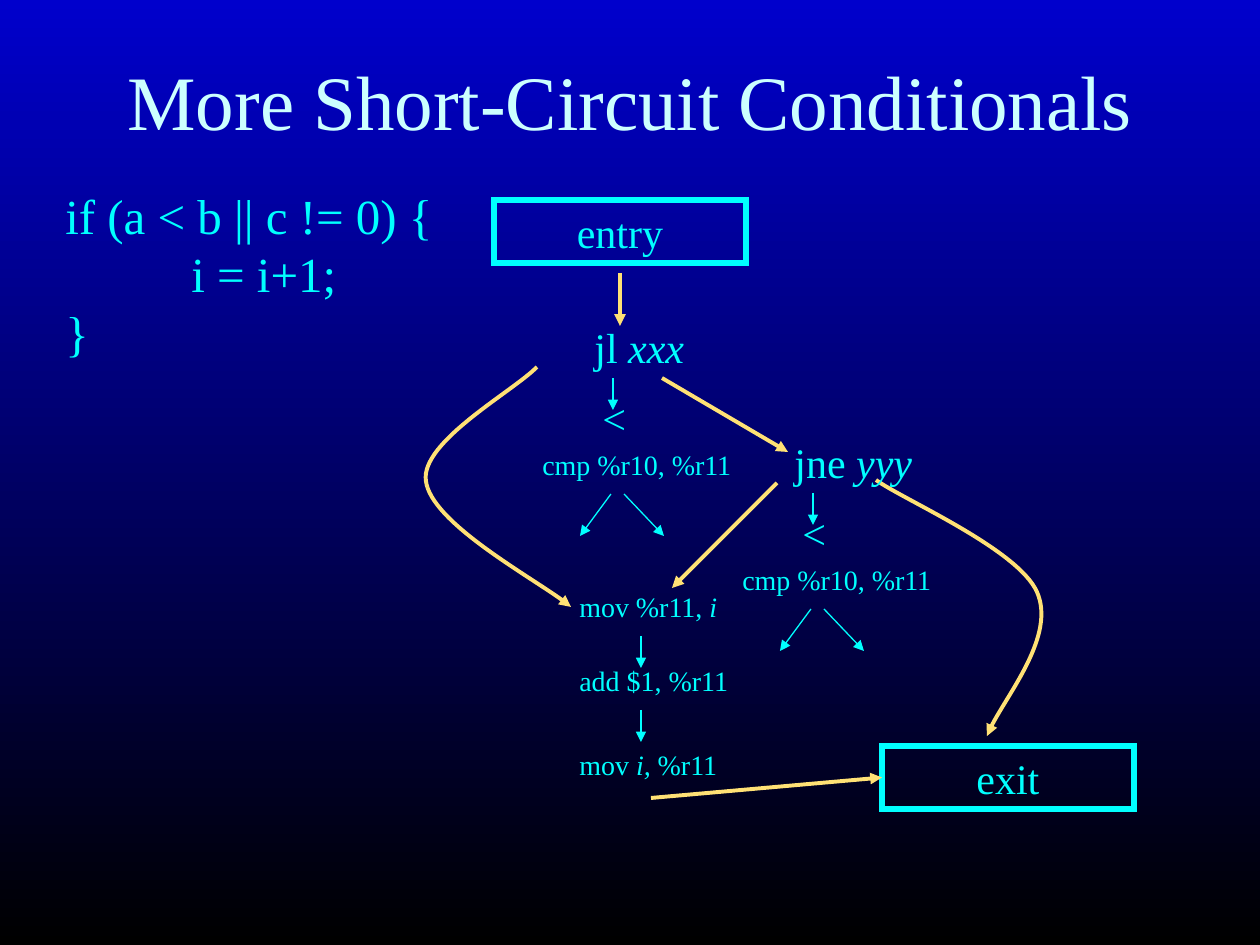
from dataclasses import dataclass

import pptx
import pptx.dml.color
import pptx.enum.shapes
import pptx.enum.text
import pptx.oxml
import pptx.oxml.ns
import pptx.util

PX = 914400 / 126
FONT = "Times New Roman"
COLORS = {
    "title": "CCFFFF",
    "cyan": "00FFFF",
    "gold": "FFE175",
    "top": "0000CC",
    "bottom": "000000",
}
ALIGN = pptx.enum.text.PP_ALIGN
ANCHOR = pptx.enum.text.MSO_ANCHOR


@dataclass(frozen=True)
class Label:
    """Text in which *stars* enclose italics."""
    left: int
    top: int
    width: int
    height: int
    text: str
    size: int = 24


@dataclass(frozen=True)
class Arrow:
    start: tuple[int, int]
    end: tuple[int, int]
    color: str = "cyan"
    weight: float = 0.75


@dataclass(frozen=True)
class Curve:
    """A start point followed by three control points per Bézier segment."""
    points: tuple[tuple[int, int], ...]


CODE = Label(53, 179, 405, 189, "if (a < b || c != 0) {\ni = i+1;\n}", 28)
ENTRY = Label(494, 200, 252, 63, "entry")
EXIT = Label(882, 746, 252, 63, "exit")
EXIT_ARROW = Arrow((651, 798), (882, 777), "gold", 2.25)
FLOW_ARROWS = [
    Arrow((620, 273), (620, 326), "gold", 2.25),
    Arrow((777, 483), (672, 588), "gold", 2.25),
    Arrow((662, 378), (788, 452), "gold", 2.25),
]
CURVES = [
    Curve(((876, 480), (902, 499), (1018, 549), (1037, 592),
           (1056, 635), (998, 706), (987, 736))),
    Curve(((537, 367), (514, 391), (420, 442), (426, 481),
           (431, 522), (547, 586), (571, 607))),
]
BRANCH_ARROWS = [
    Arrow((613, 378), (613, 410)),
    Arrow((611, 494), (580, 536)),
    Arrow((624, 494), (664, 536)),
]
INSTRUCTIONS = [
    Label(567, 583, 180, 47, "mov %r11, *i*", 16),
    Label(567, 657, 180, 47, "add $1, %r11", 16),
    Label(567, 741, 180, 47, "mov *i,* %r11", 16),
]
STEP_ARROWS = [Arrow((641, y), (641, y + 32)) for y in (636, 710)]


def px(value: float) -> pptx.util.Emu:
    return pptx.util.Emu(round(value * PX))


def rgb(name: str) -> pptx.dml.color.RGBColor:
    return pptx.dml.color.RGBColor.from_string(COLORS[name])


def write(shape, text: str, *, size: int, color: str = "cyan", align=ALIGN.LEFT,
          anchor=ANCHOR.TOP, indents: tuple[int, ...] = ()) -> None:
    frame = shape.text_frame
    frame.word_wrap = True
    frame.vertical_anchor = anchor
    for index, line in enumerate(text.split("\n")):
        paragraph = frame.paragraphs[0] if index == 0 else frame.add_paragraph()
        paragraph.alignment = align
        if index < len(indents):
            paragraph._p.get_or_add_pPr().set("marL", str(px(indents[index])))
        for part, words in enumerate(line.split("*")):
            if not words:
                continue
            run = paragraph.add_run()
            run.text = words
            run.font.name = FONT
            run.font.size = pptx.util.Pt(size)
            run.font.color.rgb = rgb(color)
            if part % 2:
                run.font.italic = True


def add_label(slide, label: Label, **text_format) -> None:
    box = slide.shapes.add_textbox(px(label.left), px(label.top),
                                   px(label.width), px(label.height))
    write(box, label.text, size=label.size, **text_format)


def style_line(shape, color: str, weight: float, ending: str) -> None:
    """Set colour and weight, then add the XML element for the join or arrowhead."""
    shape.line.color.rgb = rgb(color)
    shape.line.width = pptx.util.Pt(weight)
    shape.line._get_or_add_ln().append(pptx.oxml.parse_xml(
        f'<a:{ending} {pptx.oxml.ns.nsdecls("a")}/>'))


def add_box(slide, label: Label):
    shape = slide.shapes.add_shape(
        pptx.enum.shapes.MSO_SHAPE.RECTANGLE,
        px(label.left), px(label.top), px(label.width), px(label.height))
    shape.shadow.inherit = False
    shape.fill.background()
    style_line(shape, "cyan", 3, 'miter lim="800000"')
    write(shape, label.text, size=label.size, align=ALIGN.CENTER, anchor=ANCHOR.MIDDLE)
    return shape


def style_arrow(shape, color: str, weight: float) -> None:
    style_line(shape, color, weight, 'tailEnd type="triangle"')


def add_arrow(slide, arrow: Arrow):
    connector = slide.shapes.add_connector(
        pptx.enum.shapes.MSO_CONNECTOR.STRAIGHT,
        *map(px, arrow.start), *map(px, arrow.end))
    style_arrow(connector, arrow.color, arrow.weight)
    connector._element.spPr.append(
        pptx.oxml.parse_xml(f'<a:effectLst {pptx.oxml.ns.nsdecls("a")}/>'))
    return connector


def add_curve(slide, curve: Curve) -> None:
    """Draw the control polygon, then turn each three sides into one Bézier."""
    builder = slide.shapes.build_freeform(*curve.points[0], scale=PX)
    builder.add_line_segments(curve.points[1:], close=False)
    shape = builder.convert_to_shape()
    shape.shadow.inherit = False
    shape.fill.background()
    style_arrow(shape, "gold", 2.25)
    sides = list(shape._element.iter(pptx.oxml.ns.qn("a:lnTo")))
    for first in range(0, len(sides), 3):
        bezier = pptx.oxml.parse_xml(
            f'<a:cubicBezTo {pptx.oxml.ns.nsdecls("a")}/>')
        sides[first].addprevious(bezier)
        for side in sides[first:first + 3]:
            bezier.append(side[0])
            side.getparent().remove(side)


def add_branch(slide, jump: str, dx: int, dy: int) -> None:
    """Draw a conditional jump above its comparison, moved by dx and dy."""
    for label in (Label(582, 315, 160, 63, jump),
                  Label(590, 386, 55, 63, "<"),
                  Label(530, 441, 225, 47, "cmp %r10, %r11", 16)):
        add_label(slide, Label(label.left + dx, label.top + dy, label.width,
                               label.height, label.text, label.size))
    for arrow in BRANCH_ARROWS:
        add_arrow(slide, Arrow((arrow.start[0] + dx, arrow.start[1] + dy),
                               (arrow.end[0] + dx, arrow.end[1] + dy)))


def main() -> None:
    presentation = pptx.Presentation()
    presentation.slide_width, presentation.slide_height = px(1260), px(945)
    slide = presentation.slides.add_slide(presentation.slide_layouts[6])
    background = slide.background.fill
    background.gradient()
    background.gradient_angle = 270
    for stop, position, color in zip(background.gradient_stops, (0, 1), ("top", "bottom")):
        stop.position = position
        stop.color.rgb = rgb(color)

    add_label(slide, Label(53, 21, 1155, 158, "More Short-Circuit Conditionals", 44),
              color="title", align=ALIGN.CENTER, anchor=ANCHOR.MIDDLE)
    add_label(slide, CODE, indents=(0, 126))
    add_box(slide, ENTRY)
    exit_box = add_box(slide, EXIT)
    add_arrow(slide, EXIT_ARROW).end_connect(exit_box, 1)
    for arrow in FLOW_ARROWS + STEP_ARROWS:
        add_arrow(slide, arrow)
    for curve in CURVES:
        add_curve(slide, curve)
    add_branch(slide, "jl *xxx*", 0, 0)
    add_branch(slide, "jne *yyy*", 200, 115)
    for label in INSTRUCTIONS:
        add_label(slide, label)
    presentation.save("out.pptx")


if __name__ == "__main__":
    main()
